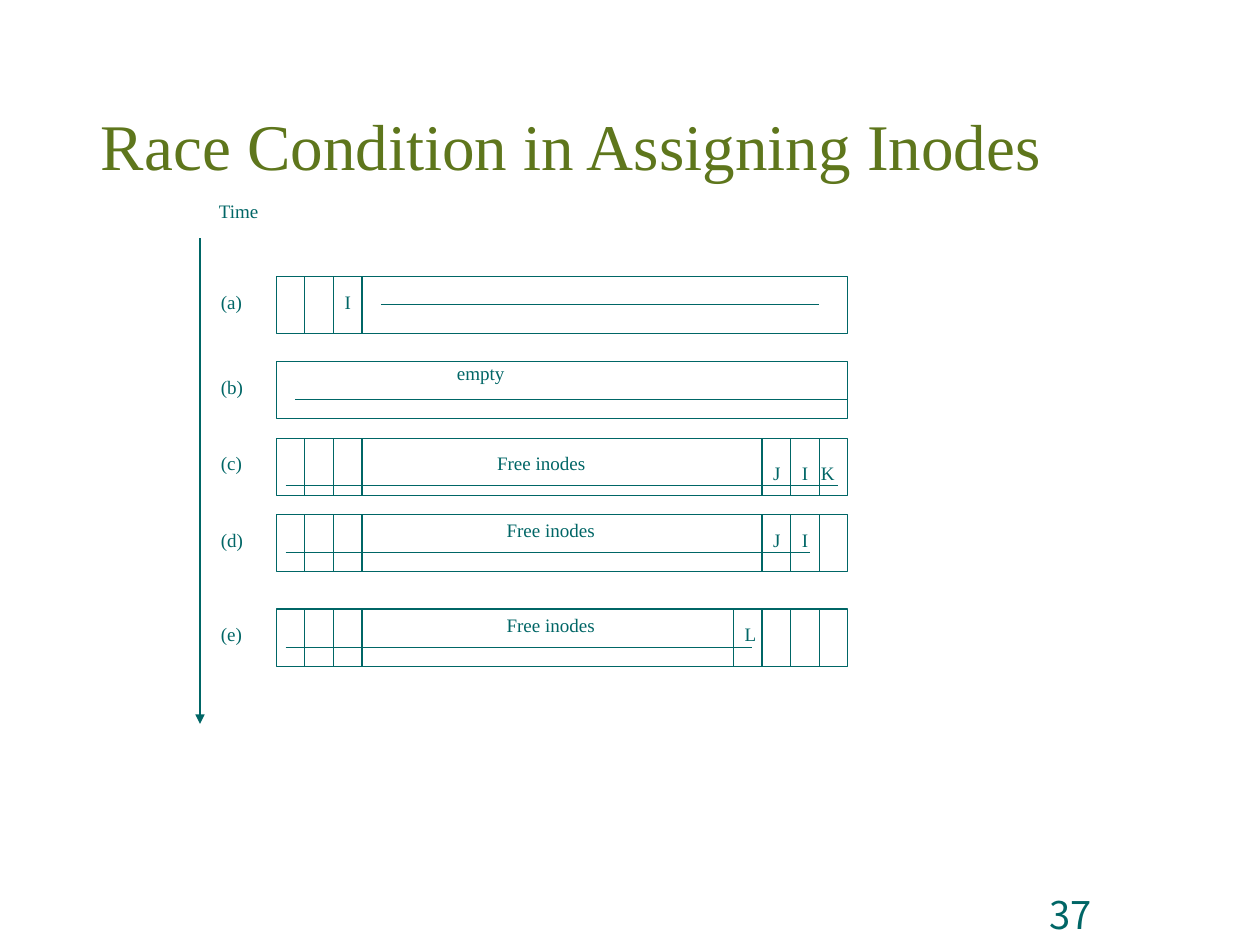
"""Build the slide on the race condition in assigning inodes."""
from lxml.etree import SubElement
from pptx import Presentation
from pptx.dml.color import RGBColor
from pptx.enum.shapes import MSO_CONNECTOR, MSO_SHAPE
from pptx.enum.text import MSO_ANCHOR, MSO_AUTO_SIZE, PP_ALIGN
from pptx.oxml.ns import qn
from pptx.util import Cm, Inches, Pt

TITLE = "Race Condition in Assigning Inodes"
TEAL, OLIVE = "006666", "5E761C"
SERIF, SANS = "Times New Roman", "Noto Sans CJK KR"

UNIT = 1 / 12
LIST_LEFT, LIST_WIDTH, LIST_HEIGHT = 29, 60, 6
LABEL_LEFT, LABEL_WIDTH, TEXT_HEIGHT = 22, 4.8, 3.6
FRONT, BACK = (3, 6, 9), (51, 54, 57)
TEXT_WIDTH = {"I": 3, "J": 3.1, "K": 3.9, "L": 3.6, "empty": 7.5,
              "Free inodes": 11.9, "Time": 6.7}

INODE_LISTS = [
    {"label": "(a)", "top": 29, "dividers": FRONT,
     "stroke": (11, 57, 3), "texts": [("I", 6, 1)]},
    {"label": "(b)", "top": 37.95, "dividers": (),
     "stroke": (2, 60, 4), "texts": [("empty", 17.8, -0.5)]},
    {"label": "(c)", "top": 46, "dividers": FRONT + BACK,
     "stroke": (1, 59, 5),
     "texts": [("Free inodes", 22, 1), ("J", 51, 2), ("I", 54, 2), ("K", 56, 2)]},
    {"label": "(d)", "top": 54, "dividers": FRONT + BACK,
     "stroke": (1, 56, 4),
     "texts": [("Free inodes", 23, 0), ("J", 51, 1), ("I", 54, 1)]},
    {"label": "(e)", "top": 63.95, "dividers": FRONT + (48,) + BACK,
     "stroke": (1, 50, 4), "texts": [("Free inodes", 23, 0), ("L", 48, 1)]},
]
TIME_ARROW = (21, 25, 21, 76)
TIME_LABEL = ("Time", 21.8, 20.5)
PAGE_NUMBER = ("37", 109, 93, 16.8, 5.9)


def color(value):
    return RGBColor.from_string(value)


def units(*values):
    return [Inches(value * UNIT) for value in values]


def set_text(shape, text, size, font_name, text_color, spacing=0.97):
    paragraph = shape.text_frame.paragraphs[0]
    paragraph.line_spacing = spacing
    run = paragraph.add_run()
    run.text = text
    for name, value in {"size": Pt(size), "name": font_name, "bold": False}.items():
        setattr(run.font, name, value)
    run.font.color.rgb = color(text_color)
    return paragraph


def add_label(slide, text, left, top):
    width = TEXT_WIDTH.get(text, LABEL_WIDTH)
    box = slide.shapes.add_textbox(*units(left, top, width, TEXT_HEIGHT))
    box.text_frame.word_wrap = False
    box.text_frame.auto_size = MSO_AUTO_SIZE.SHAPE_TO_FIT_TEXT
    set_text(box, text, 12, SERIF, TEAL)


def add_line(slide, *ends, arrow=False):
    connector = slide.shapes.add_connector(MSO_CONNECTOR.STRAIGHT, *units(*ends))
    connector.line.color.rgb = color(TEAL)
    connector.line.width = Pt(0.75)
    properties = connector._element.spPr
    if arrow:
        SubElement(properties.find(qn("a:ln")), qn("a:tailEnd"), type="triangle")
    SubElement(properties, qn("a:effectLst"))


def add_inode_list(slide, entry):
    top = entry["top"]
    frame = slide.shapes.add_shape(
        MSO_SHAPE.RECTANGLE, *units(LIST_LEFT, top, LIST_WIDTH, LIST_HEIGHT))
    frame.shadow.inherit = False
    frame.fill.background()
    frame.line.color.rgb = color(TEAL)
    frame.line.width = Pt(0.75)
    for column in entry["dividers"]:
        left = LIST_LEFT + column
        add_line(slide, left, top, left, top + LIST_HEIGHT)
    start, end, row = entry["stroke"]
    add_line(slide, LIST_LEFT + start, top + row, LIST_LEFT + end, top + row)
    for text, column, row in entry["texts"]:
        add_label(slide, text, LIST_LEFT + column, top + row)
    add_label(slide, entry["label"], LABEL_LEFT, top + 1)


def add_title(slide):
    title = slide.shapes.title
    for name, value in zip(("left", "top", "width", "height"), units(9, 5, 102, 21)):
        setattr(title, name, value)
    title.text_frame.auto_size = MSO_AUTO_SIZE.NONE
    title.text_frame.vertical_anchor = MSO_ANCHOR.MIDDLE
    set_text(title, TITLE, 41, SERIF, OLIVE).alignment = PP_ALIGN.CENTER


def add_page_number(slide):
    text, *place = PAGE_NUMBER
    box = slide.shapes.add_textbox(*units(*place))
    box.text_frame.word_wrap = True
    set_text(box, text, 24, SANS, TEAL, 1.0)


def main():
    presentation = Presentation()
    presentation.slide_width, presentation.slide_height = Cm(28), Cm(21)
    slide = presentation.slides.add_slide(presentation.slide_layouts[5])
    add_title(slide)
    for entry in INODE_LISTS:
        add_inode_list(slide, entry)
    add_line(slide, *TIME_ARROW, arrow=True)
    add_label(slide, *TIME_LABEL)
    add_page_number(slide)
    presentation.save("out.pptx")


if __name__ == "__main__":
    main()
